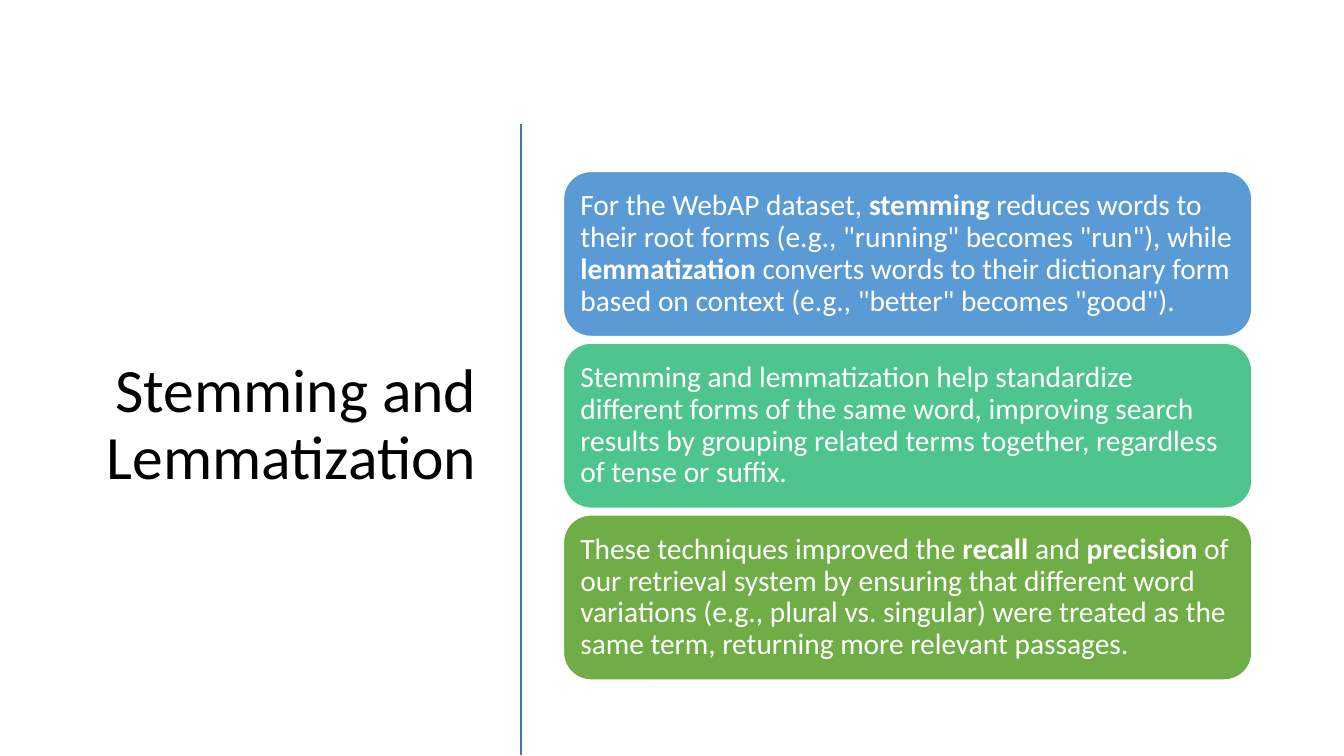
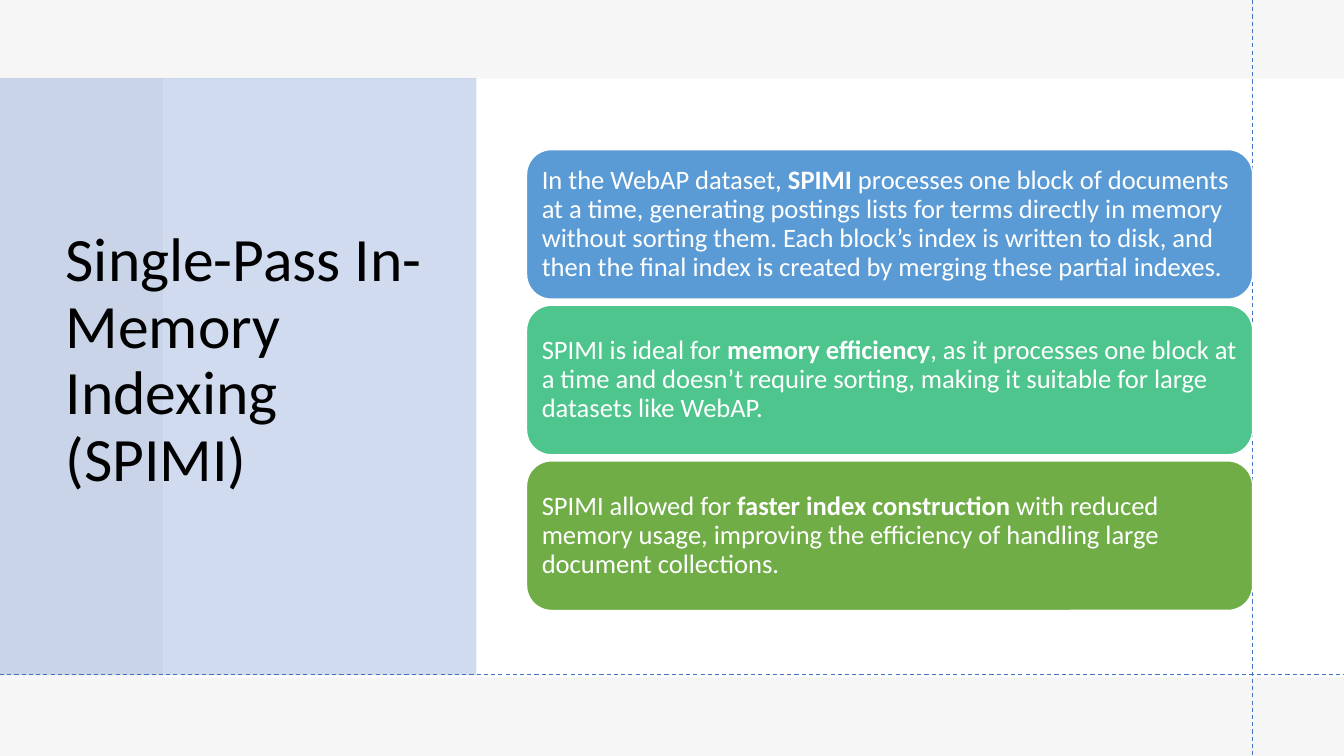
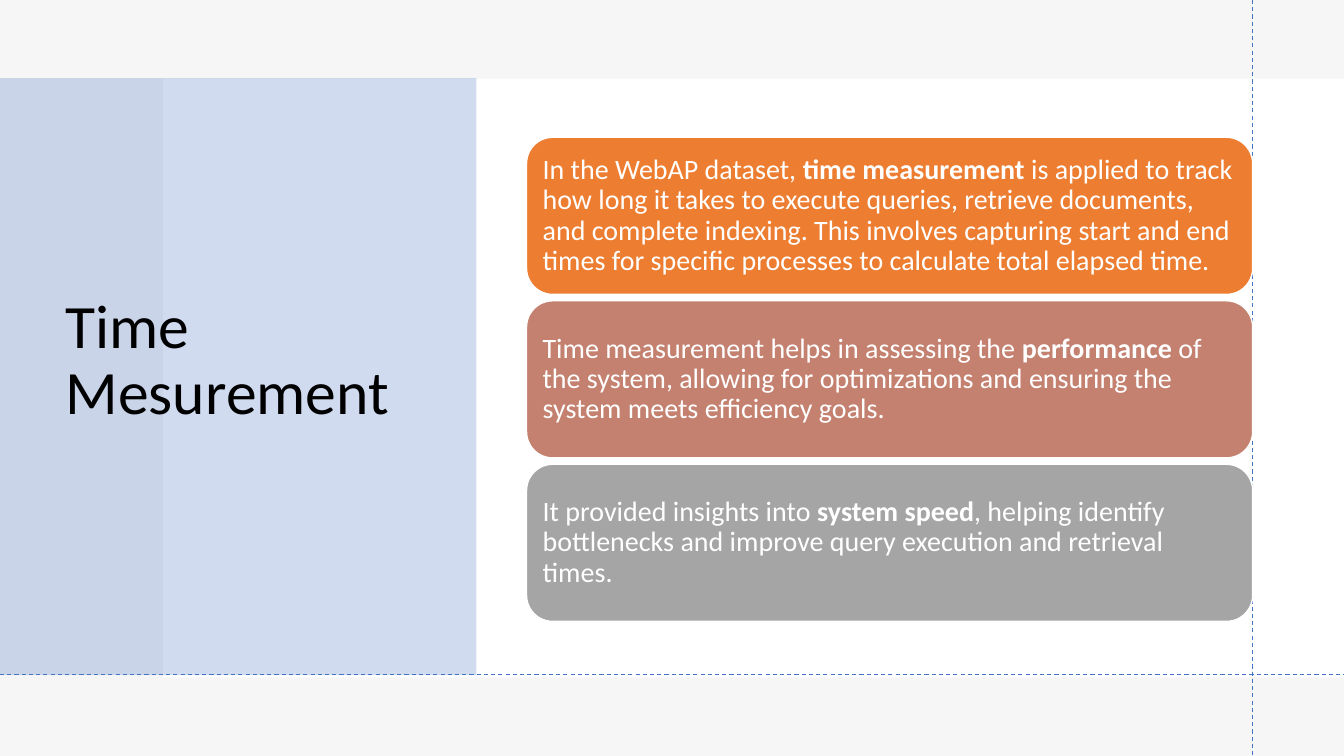
"""Build three slides on text indexing techniques, each with a title and three cards."""
from lxml import etree
from pptx import Presentation
from pptx import util as u
from pptx.dml import color as dml_color
from pptx.enum import dml, shapes, text
from pptx.oxml import ns

WIDTH, HEIGHT = 33.87, 19.05
TITLE_ONLY = 5
WHITE, BLACK, GREY, BLUE = "FFFFFF", "000000", "E7E6E6", "4472C4"
COOL_CARDS = ("5B9BD5", "4DC58D", "70AD47")
WARM_CARDS = ("ED7D31", "C48170", "A5A5A5")
FRAME_FORMAT = {
    "word_wrap": True,
    "auto_size": text.MSO_AUTO_SIZE.NONE,
    "vertical_anchor": text.MSO_ANCHOR.MIDDLE,
}
PANELS = (
    ((0, 0, WIDTH, HEIGHT), WHITE, 100),
    ((0, 0, WIDTH, HEIGHT), GREY, 35),
    ((4.11, 1.98, 29.76, 15.09), WHITE, 100),
    ((0, 1.97, 12.01, 15.04), BLUE, 25),
)
GUIDES = ((31.57, 0, 31.57, HEIGHT), (0, 17, WIDTH, 17))

STEMMING = (
    'For the WebAP dataset, *stemming* reduces words to their root forms (e.g., "running" '
    'becomes "run"), while *lemmatization* converts words to their dictionary form based on '
    'context (e.g., "better" becomes "good").',
    "Stemming and lemmatization help standardize different forms of the same word, improving "
    "search results by grouping related terms together, regardless of tense or suffix.",
    "These techniques improved the *recall* and *precision* of our retrieval system by ensuring "
    "that different word variations (e.g., plural vs. singular) were treated as the same term, "
    "returning more relevant passages.",
)
SPIMI = (
    "In the WebAP dataset, *SPIMI* processes one block of documents at a time, generating "
    "postings lists for terms directly in memory without sorting them. Each block’s index is "
    "written to disk, and then the final index is created by merging these partial indexes.",
    "SPIMI is ideal for *memory efficiency*, as it processes one block at a time and doesn’t "
    "require sorting, making it suitable for large datasets like WebAP.",
    "SPIMI allowed for *faster index construction* with reduced memory usage, improving the "
    "efficiency of handling large document collections.",
)
TIMING = (
    "In the WebAP dataset, *time measurement* is applied to track how long it takes to execute "
    "queries, retrieve documents, and complete indexing. This involves capturing start and end "
    "times for specific processes to calculate total elapsed time.",
    "Time measurement helps in assessing the *performance* of the system, allowing for "
    "optimizations and ensuring the system meets efficiency goals.",
    "It provided insights into *system speed*, helping identify bottlenecks and improve query "
    "execution and retrieval times.",
)


def set_values(target, values):
    """Set each named attribute of the target."""
    for name, value in values.items():
        setattr(target, name, value)


def paint(colour_owner, hex_colour):
    """Give a fill, line or font a solid colour."""
    if hasattr(colour_owner, "solid"):
        colour_owner.solid()
        colour_owner = colour_owner.fore_color
    else:
        colour_owner = colour_owner.color
    colour_owner.rgb = dml_color.RGBColor.from_string(hex_colour)


def write(frame, marked_text, size, hex_colour, align):
    """Write one paragraph, with the parts between asterisks in bold."""
    set_values(frame, FRAME_FORMAT)
    paragraph = frame.paragraphs[0]
    set_values(paragraph, {"alignment": align, "line_spacing": 0.9})
    for index, part in enumerate(marked_text.split("*")):
        run = paragraph.add_run()
        run.text = part
        set_values(run.font, {"name": "Calibri", "size": u.Pt(size), "bold": index % 2 == 1})
        paint(run.font, hex_colour)


def add_block(slide, kind, box, hex_colour):
    """Add a filled shape without shadow."""
    shape = slide.shapes.add_shape(kind, *map(u.Cm, box))
    shape.shadow.inherit = False
    paint(shape.fill, hex_colour)
    return shape


def add_panel(slide, box, hex_colour, opacity):
    """Add a borderless rectangle with an opacity in percent."""
    panel = add_block(slide, shapes.MSO_SHAPE.RECTANGLE, box, hex_colour)
    panel.line.fill.background()
    if opacity < 100:
        for colour in panel.element.spPr.iter(ns.qn("a:srgbClr")):
            etree.SubElement(colour, ns.qn("a:alpha"), val=str(opacity * 1000))


def add_line(slide, ends, width, dash=None):
    """Add a straight blue line."""
    line = slide.shapes.add_connector(shapes.MSO_CONNECTOR.STRAIGHT, *map(u.Cm, ends))
    paint(line.line, BLUE)
    set_values(line.line, {"width": u.Pt(width), "dash_style": dash})
    etree.SubElement(line.element.spPr, ns.qn("a:effectLst"))


def add_title(slide, title_text, box, align):
    """Place the title placeholder in front of what is drawn so far."""
    title = slide.shapes.title
    set_values(title, dict(zip(("left", "top", "width", "height"), map(u.Cm, box))))
    write(title.text_frame, title_text, 44, BLACK, align)
    title.element.getparent().append(title.element)


def add_cards(slide, texts, colours, box, size):
    """Stack equal cards whose gaps and margins follow the text size."""
    left, top, width, height = box
    for index, (card_text, colour) in enumerate(zip(texts, colours)):
        card_top = top + index * (height + 0.008 * size)
        card = add_block(slide, shapes.MSO_SHAPE.ROUNDED_RECTANGLE,
                         (left, card_top, width, height), colour)
        paint(card.line, WHITE)
        card.line.width = u.Pt(1)
        sides = ("margin_left", "margin_top", "margin_right", "margin_bottom")
        set_values(card.text_frame, dict.fromkeys(sides, u.Cm(0.0106 * size)))
        write(card.text_frame, card_text, size, WHITE, text.PP_ALIGN.LEFT)


def add_slide(presentation):
    """Add a title-only slide."""
    return presentation.slides.add_slide(presentation.slide_layouts[TITLE_ONLY])


def add_ruled_slide(presentation):
    """Add the slide with a vertical rule beside its title."""
    slide = add_slide(presentation)
    add_title(slide, "Stemming and Lemmatization", (1.32, 2.97, 10.95, 15.52),
              text.PP_ALIGN.RIGHT)
    add_line(slide, (13.13, 3.13, 13.13, 19.03), 2)
    add_cards(slide, STEMMING, COOL_CARDS, (14.2, 4.32, 17.35, 4.16), 21)


def add_panel_slide(presentation, title_text, texts, colours, top, height, size):
    """Add a slide with panels and dashed guides behind its title and cards."""
    slide = add_slide(presentation)
    for panel in PANELS:
        add_panel(slide, *panel)
    add_title(slide, title_text, (1.4, 1.88, 10.03, 14.45), text.PP_ALIGN.LEFT)
    for ends in GUIDES:
        add_line(slide, ends, 0.75, dml.MSO_LINE.DASH)
    add_cards(slide, texts, colours, (13.27, top, 18.3, height), size)


def main():
    """Build and save the presentation."""
    presentation = Presentation()
    set_values(presentation, {"slide_width": u.Cm(WIDTH), "slide_height": u.Cm(HEIGHT)})
    add_ruled_slide(presentation)
    add_panel_slide(presentation, "Single-Pass In-Memory Indexing (SPIMI)", SPIMI, COOL_CARDS,
                    3.77, 3.77, 19)
    add_panel_slide(presentation, "Time Mesurement", TIMING, WARM_CARDS, 3.46, 3.96, 20)
    presentation.save("out.pptx")


if __name__ == "__main__":
    main()
